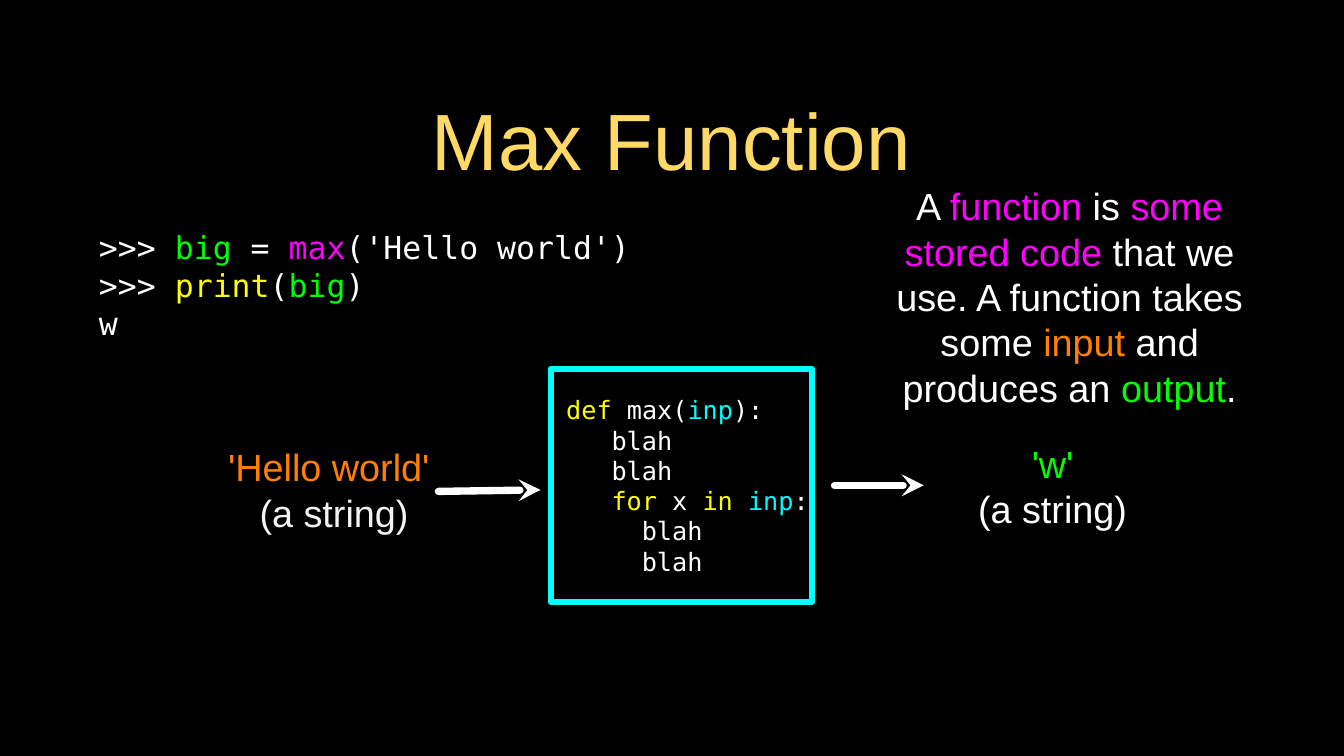
from dataclasses import dataclass

from lxml.etree import SubElement
from pptx import Presentation
from pptx.dml.color import RGBColor
from pptx.enum.shapes import MSO_CONNECTOR as Connector, MSO_SHAPE as Shape
from pptx.enum.text import MSO_ANCHOR as Anchor, PP_ALIGN as Align
from pptx.oxml.ns import qn
from pptx.util import Inches, Pt


@dataclass(frozen=True)
class Theme:
    sans: str = "Arial"
    mono: str = "DejaVu Sans Mono"
    black: str = "000000"
    white: str = "FFFFFF"
    pale: str = "F3F3F3"
    gold: str = "FFD966"
    yellow: str = "FFFF00"
    green: str = "00FF00"
    magenta: str = "FF00FF"
    orange: str = "FF7F00"
    cyan: str = "00FFFF"
    aqua: str = "00FDFF"
    title: int = 76
    body: int = 36
    session: int = 30
    code: int = 24
    leading: float = 1.2
    code_char: float = 0.2
    box_line: int = 6
    arrow_line: int = 7


class FunctionSlide:
    """Draws text, code boxes and arrows on one slide in a shared theme."""

    def __init__(self, deck, theme):
        self.theme = theme
        self.slide = deck.slides.add_slide(deck.slide_layouts[6])
        background = self.slide.background.fill
        background.solid()
        background.fore_color.rgb = RGBColor.from_string(theme.black)

    def set_lines(self, frame, lines, font, size, align=Align.CENTER, indents=(), inset=0):
        frame.word_wrap = True
        frame.vertical_anchor = Anchor.MIDDLE
        frame.margin_left = frame.margin_right = Inches(inset)
        frame.margin_top = frame.margin_bottom = Inches(inset)
        for number, line in enumerate(lines):
            paragraph = frame.paragraphs[0] if number == 0 else frame.add_paragraph()
            paragraph.alignment = align
            paragraph.line_spacing = Pt(size * self.theme.leading)
            paragraph.font.name, paragraph.font.size = font, Pt(size)
            if indents:
                margin = Inches(indents[number] * self.theme.code_char)
                paragraph._p.get_or_add_pPr().set("marL", str(margin))
            for words, color in line:
                run = paragraph.add_run()
                run.text = words
                run.font.color.rgb = RGBColor.from_string(color)

    def text(self, place, lines, font, size, align=Align.CENTER, inset=0):
        label = self.slide.shapes.add_textbox(*map(Inches, place))
        self.set_lines(label.text_frame, lines, font, size, align, inset=inset)

    def code_box(self, place, lines, indents):
        box = self.slide.shapes.add_shape(Shape.RECTANGLE, *map(Inches, place))
        box.shadow.inherit = False
        box.fill.background()
        box.line.color.rgb = RGBColor.from_string(self.theme.cyan)
        box.line.width = Pt(self.theme.box_line)
        SubElement(box.line._get_or_add_ln(), qn("a:round"))
        self.set_lines(box.text_frame, lines, self.theme.mono, self.theme.code,
                       Align.LEFT, indents)

    def arrow(self, tip, tail):
        arrow = self.slide.shapes.add_connector(
            Connector.STRAIGHT, *map(Inches, tip + tail))
        arrow.line.color.rgb = RGBColor.from_string(self.theme.white)
        arrow.line.width = Pt(self.theme.arrow_line)
        outline = arrow.line._get_or_add_ln()
        outline.set("cap", "rnd")
        SubElement(outline, qn("a:round"))
        SubElement(outline, qn("a:headEnd"), type="stealth")
        SubElement(arrow._element.spPr, qn("a:effectLst"))


def main():
    deck = Presentation()
    deck.slide_width, deck.slide_height = Inches(17.78), Inches(10)
    theme = Theme()
    page = FunctionSlide(deck, theme)
    white, yellow, green = theme.white, theme.yellow, theme.green
    magenta, orange, aqua = theme.magenta, theme.orange, theme.aqua

    page.text((1.26, 0.88, 15.24, 1.9), [[("Max Function", theme.gold)]],
              theme.sans, theme.title, inset=0.04)

    session = [
        [(">>> ", white), ("big", green), (" = ", white), ("max", magenta),
         ("('Hello world')", white)],
        [(">>> ", white), ("print", yellow), ("(", white), ("big", green), (")", white)],
        [("w", white)],
    ]
    page.text((1.31, 2.86, 7.8, 1.82), session, theme.mono, theme.session, Align.LEFT)

    blah = [("blah", white)]
    definition = [
        [("def", yellow), (" max(", white), ("inp", aqua), ("):", white)],
        blah,
        blah,
        [("for", yellow), (" x ", white), ("in ", yellow), ("inp", aqua), (":", white)],
        blah,
        blah,
    ]
    page.code_box((7.29, 4.88, 3.45, 3.08), definition, (1, 4, 4, 4, 6, 6))

    page.arrow((7.15, 6.48), (5.8, 6.5))
    page.text((2.86, 5.85, 3.12, 1.25),
              [[("'Hello world' ", orange)], [("(a string)", theme.pale)]],
              theme.sans, theme.body)
    page.text((12.73, 5.8, 2.39, 1.25), [[("'w'", green)], [("(a string)", white)]],
              theme.sans, theme.body)
    page.arrow((12.22, 6.42), (11.04, 6.42))

    explanation = [[
        ("A ", white), ("function", magenta), (" is ", white),
        ("some stored code", magenta),
        (" that we use. A function takes some ", white), ("input", orange),
        (" and produces an ", white), ("output", green), (".", white),
    ]]
    page.text((11.45, 2.48, 5.4, 2.88), explanation, theme.sans, theme.body)

    deck.save("out.pptx")


if __name__ == "__main__":
    main()
